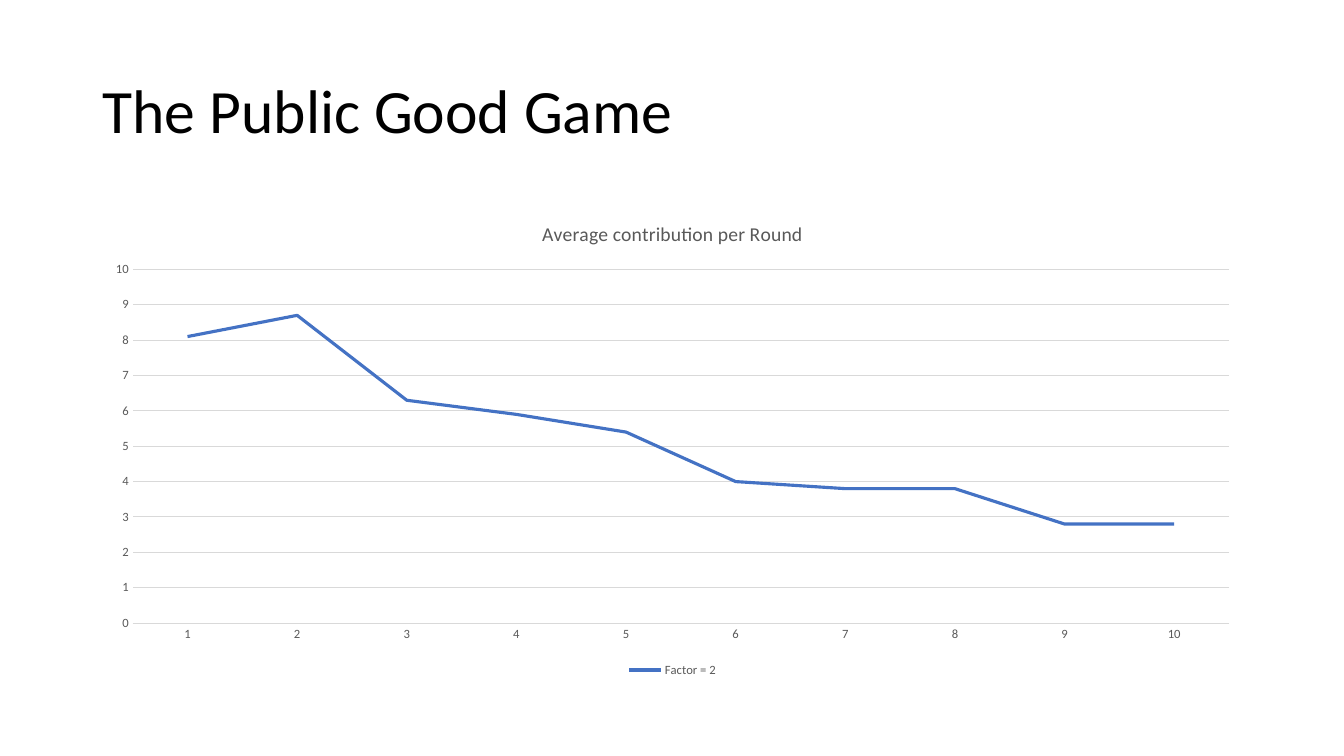
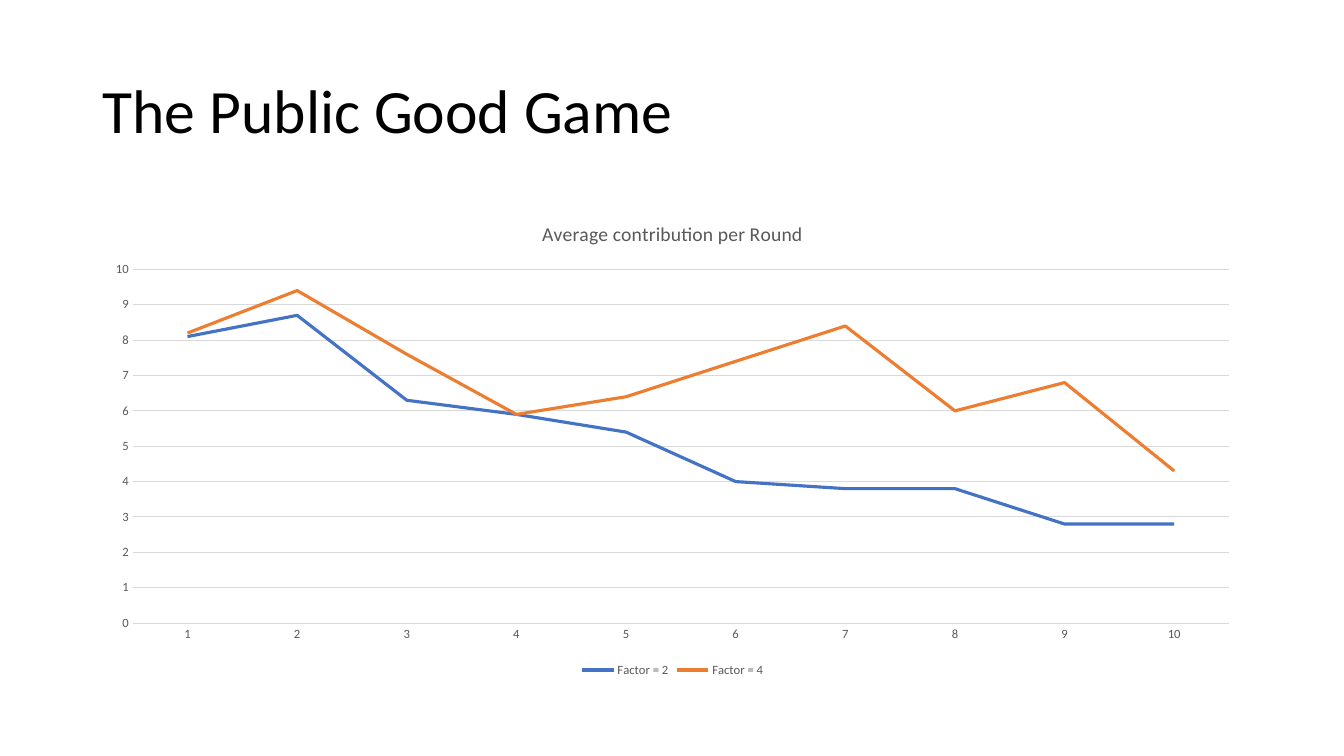
from dataclasses import dataclass

from pptx import Presentation
from pptx.chart.data import CategoryChartData
from pptx.dml.color import RGBColor
from pptx.enum import chart as ch, text as tx
from pptx.util import Inches, Pt


@dataclass(frozen=True)
class Theme:
    font: str = "Calibri"
    ink: str = "000000"
    label: str = "595959"
    rule: str = "D9D9D9"
    accents: tuple = ("4472C4", "ED7D31")
    heading_size: float = 44
    caption_size: float = 14
    label_size: float = 9
    rule_width: float = 0.75
    curve_width: float = 2.25


THEME = Theme()
HEADING_BOX = (0.92, 0.4, 11.5, 1.45)
CHART_BOX = (0.92, 2, 11.5, 4.76)
ROUNDS = [str(number) for number in range(1, 11)]
CONTRIBUTIONS = {
    "Factor = 2": (8.1, 8.7, 6.3, 5.9, 5.4, 4, 3.8, 3.8, 2.8, 2.8),
    "Factor = 4": (8.2, 9.4, 7.6, 5.9, 6.4, 7.4, 8.4, 6, 6.8, 4.3),
}


def style_font(font, size, color):
    font.name = THEME.font
    font.size = Pt(size)
    font.bold = False
    font.color.rgb = RGBColor.from_string(color)


def style_line(line, width, color):
    line.width = Pt(width)
    line.color.rgb = RGBColor.from_string(color)


def add_heading(slide, box, wording):
    frame = slide.shapes.add_textbox(*map(Inches, box)).text_frame
    frame.word_wrap = True
    frame.vertical_anchor = tx.MSO_ANCHOR.MIDDLE
    heading = frame.paragraphs[0]
    heading.text = wording
    heading.line_spacing = 0.9
    style_font(heading.font, THEME.heading_size, THEME.ink)


def style_axes(chart):
    rounds, average = chart.category_axis, chart.value_axis
    for axis in (rounds, average):
        axis.major_tick_mark = axis.minor_tick_mark = ch.XL_TICK_MARK.NONE
        style_font(axis.tick_labels.font, THEME.label_size, THEME.label)
    style_line(rounds.format.line, THEME.rule_width, THEME.rule)
    average.minimum_scale, average.maximum_scale, average.major_unit = 0, 10, 1
    average.format.line.fill.background()
    average.has_major_gridlines = True
    style_line(average.major_gridlines.format.line, THEME.rule_width, THEME.rule)


def add_contribution_chart(slide, box, caption, factors):
    data = CategoryChartData()
    data.categories = ROUNDS
    for factor in factors:
        data.add_series(factor, CONTRIBUTIONS[factor])
    chart = slide.shapes.add_chart(
        ch.XL_CHART_TYPE.LINE, *map(Inches, box), data).chart
    style_font(chart.font, 10, THEME.ink)

    chart.has_title = True
    title = chart.chart_title.text_frame.paragraphs[0]
    title.text = caption
    style_font(title.font, THEME.caption_size, THEME.label)
    chart.chart_title.include_in_layout = False

    chart.has_legend = True
    chart.legend.position = ch.XL_LEGEND_POSITION.BOTTOM
    chart.legend.include_in_layout = False
    style_font(chart.legend.font, THEME.label_size, THEME.label)

    style_axes(chart)
    plot = chart.plots[0]
    plot.vary_by_categories = False
    for curve, accent in zip(plot.series, THEME.accents):
        curve.smooth = False
        curve.marker.style = ch.XL_MARKER_STYLE.NONE
        style_line(curve.format.line, THEME.curve_width, accent)


def add_game_slide(deck, factors):
    slide = deck.slides.add_slide(deck.slide_layouts[6])
    add_heading(slide, HEADING_BOX, "The Public Good Game")
    add_contribution_chart(
        slide, CHART_BOX, "Average contribution per Round", factors)


def main():
    deck = Presentation()
    deck.slide_width, deck.slide_height = Inches(13.33), Inches(7.5)
    for factors in (["Factor = 2"], ["Factor = 2", "Factor = 4"]):
        add_game_slide(deck, factors)
    deck.save("out.pptx")


if __name__ == "__main__":
    main()
